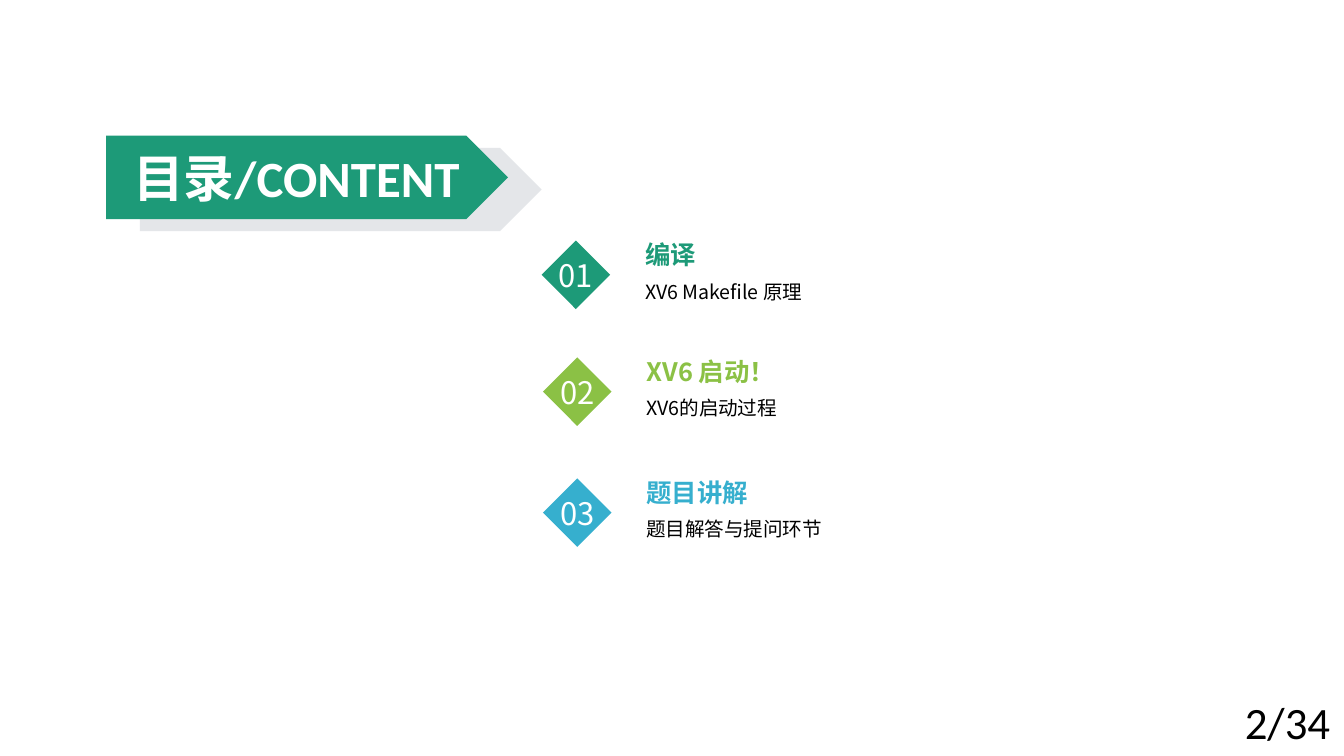
import pptx
import pptx.dml.color
import pptx.enum.shapes
import pptx.enum.text
import pptx.oxml
import pptx.oxml.ns
import pptx.util

Inches = pptx.util.Inches
Pt = pptx.util.Pt
ANCHOR = pptx.enum.text.MSO_ANCHOR
ALIGN = pptx.enum.text.PP_ALIGN
SHAPE = pptx.enum.shapes.MSO_SHAPE
qn = pptx.oxml.ns.qn

COLORS = {
    "green": "1D9A78",
    "lime": "8BC145",
    "blue": "36AFCE",
    "slate": "44546A",
    "white": "FFFFFF",
    "black": "000000",
}
LATIN_FONT = "Calibri"
CHINESE_FONT = "Noto Sans CJK SC"

# Left, top, colour, number, heading, detail
ENTRIES = [
    (4.03, 1.79, "green", "01", "编译", "XV6 Makefile 原理"),
    (4.04, 2.66, "lime", "02", "XV6 启动！", "XV6的启动过程"),
    (4.04, 3.56, "blue", "03", "题目讲解", "题目解答与提问环节"),
]


def rgb(color):
    return pptx.dml.color.RGBColor.from_string(COLORS[color])


def add_filled_shape(slide, kind, left, top, width, height, color, alpha=None):
    shape = slide.shapes.add_shape(
        kind, Inches(left), Inches(top), Inches(width), Inches(height))
    shape.shadow.inherit = False
    shape.fill.solid()
    shape.fill.fore_color.rgb = rgb(color)
    shape.line.fill.background()
    if alpha is not None:
        color_element = shape._element.spPr.find(".//" + qn("a:srgbClr"))
        alpha_element = pptx.oxml.parse_xml(
            f'<a:alpha {pptx.oxml.ns.nsdecls("a")} val="{alpha * 1000}"/>')
        color_element.append(alpha_element)
    return shape


def write_text(shape, text, size, color, font=CHINESE_FONT, bold=False,
               align=ALIGN.LEFT, anchor=ANCHOR.MIDDLE, wrap=False,
               insets=(0, 0, 0, 0), line_spacing=None):
    frame = shape.text_frame
    frame.auto_size = pptx.enum.text.MSO_AUTO_SIZE.NONE
    frame.word_wrap = wrap
    frame.vertical_anchor = anchor
    (frame.margin_left, frame.margin_top,
     frame.margin_right, frame.margin_bottom) = map(Inches, insets)
    paragraph = frame.paragraphs[0]
    paragraph.alignment = align
    if line_spacing:
        paragraph.line_spacing = line_spacing
    run = paragraph.add_run()
    run.text = text
    run.font.size = Pt(size)
    run.font.bold = bold
    run.font.name = font
    run.font.color.rgb = rgb(color)
    # Chinese characters take the East Asian typeface
    east_asian = pptx.oxml.parse_xml(
        f'<a:ea {pptx.oxml.ns.nsdecls("a")} typeface="{CHINESE_FONT}"/>')
    run.font._element.find(qn("a:latin")).addnext(east_asian)


def add_label(slide, left, top, width, height, text, size, color, **options):
    box = slide.shapes.add_textbox(
        Inches(left), Inches(top), Inches(width), Inches(height))
    write_text(box, text, size, color, **options)


def add_banner(slide, text):
    add_filled_shape(slide, SHAPE.PENTAGON, 1.04, 1.1, 2.99, 0.62, "slate", alpha=14)
    add_filled_shape(slide, SHAPE.PENTAGON, 0.79, 1.01, 2.99, 0.62, "green")
    # The title sits in front of the banner, clear of its point
    title = slide.shapes.title
    title.left, title.top = Inches(0.79), Inches(1.01)
    title.width, title.height = Inches(2.83), Inches(0.62)
    slide.shapes._spTree.append(title._element)
    write_text(title, text, 27.2, "white", font=LATIN_FONT, bold=True,
               align=ALIGN.CENTER, wrap=True, insets=(0.1, 0.05, 0.1, 0.05))


def add_entry(slide, left, top, color, number, heading, detail):
    diamond = add_filled_shape(slide, SHAPE.DIAMOND, left, top, 0.51, 0.51, color)
    write_text(diamond, number, 16.6, "white", align=ALIGN.CENTER)
    indent = (0.39, 0, 0, 0)
    add_label(slide, left + 0.38, top + 0.02, 3.25, 0.2, heading, 13.6, color,
              bold=True, anchor=ANCHOR.BOTTOM, insets=indent)
    add_label(slide, left + 0.38, top + 0.23, 3.25, 0.26, detail, 10.5, "black",
              wrap=True, insets=indent, line_spacing=1.2)


def main():
    presentation = pptx.Presentation()
    # Widescreen, 16 to 9
    presentation.slide_width = Inches(10)
    presentation.slide_height = presentation.slide_width * 9 // 16
    slide = presentation.slides.add_slide(presentation.slide_layouts[5])

    # Heading
    add_banner(slide, "目录/CONTENT")

    # Contents list
    for entry in ENTRIES:
        add_entry(slide, *entry)

    # Page number
    add_label(slide, 9.16, 5.12, 0.84, 0.5, "2/34", 24, "black",
              font=LATIN_FONT, align=ALIGN.CENTER, anchor=ANCHOR.TOP,
              insets=(0.1, 0.05, 0.1, 0.05))

    presentation.save("out.pptx")


if __name__ == "__main__":
    main()
